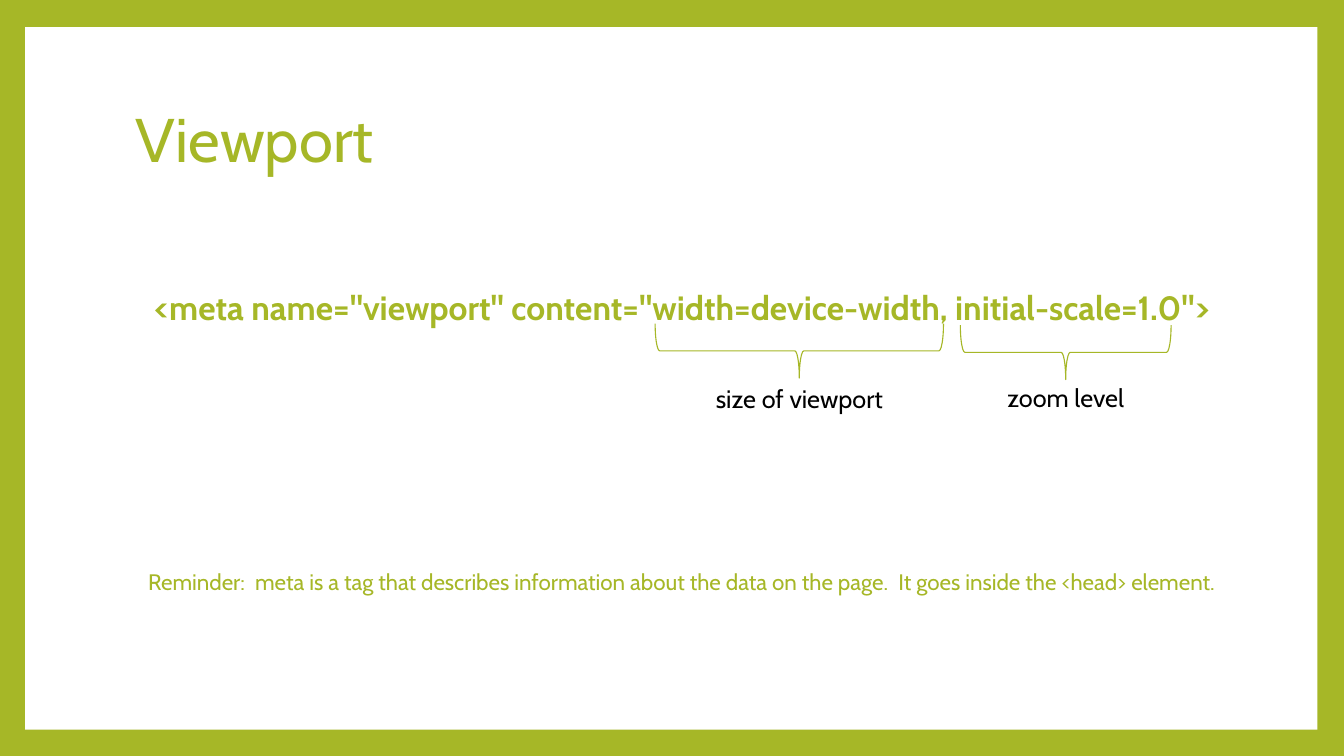
from dataclasses import dataclass

from pptx import Presentation
from pptx.dml.color import RGBColor
from pptx.enum.shapes import MSO_SHAPE as Kind
from pptx.enum.text import MSO_ANCHOR as Anchor, PP_ALIGN as Align
from pptx.shapes.autoshape import Shape
from pptx.util import Inches, Pt

GREEN = RGBColor(0xA6, 0xB7, 0x27)
WHITE = RGBColor(0xFF, 0xFF, 0xFF)
BLACK = RGBColor(0x00, 0x00, 0x00)
FONT = "Cabin"
COLS, ROWS = 160, 90
DEPTH = 6.48


@dataclass(frozen=True)
class Box:
    col: float
    row: float
    wide: float
    high: float


@dataclass(frozen=True)
class Label:
    text: str
    box: Box
    size: int
    color: RGBColor = GREEN
    bold: bool = False
    align: Align = Align.CENTER
    lead: float = 0.9


@dataclass(frozen=True)
class Brace:
    mid: float
    row: float
    span: float
    note: str
    top: float


TEXTS = [
    Label("Viewport", Box(15, 8.04, 129.6, 17.76), 44, align=Align.LEFT),
    Label('<meta name="viewport" content="width=device-width, initial-scale=1.0">',
          Box(14.82, 33.84, 132.72, 6), 24, bold=True),
    Label("Reminder:  meta is a tag that describes information about the data "
          "on the page.  It goes inside the <head> element.",
          Box(14.82, 66.48, 132.72, 6), 16),
]
BRACES = [
    Brace(95.16, 41.76, 34.32, "size of viewport", 45),
    Brace(126.87, 41.94, 25.08, "zoom level", 44.88),
]

deck = Presentation()
deck.slide_width = Inches(13.33)
deck.slide_height = Inches(7.5)
slide = deck.slides.add_slide(deck.slide_layouts[6])
slide.background.fill.solid()
slide.background.fill.fore_color.rgb = GREEN


def place(box: Box) -> tuple[int, int, int, int]:
    col, row = deck.slide_width / COLS, deck.slide_height / ROWS
    return (round(box.col * col), round(box.row * row),
            round(box.wide * col), round(box.high * row))


def add_form(kind: Kind, box: Box) -> Shape:
    form = slide.shapes.add_shape(kind, *place(box))
    form.shadow.inherit = False
    return form


def add_label(label: Label) -> None:
    frame = slide.shapes.add_textbox(*place(label.box)).text_frame
    frame.word_wrap = True
    frame.vertical_anchor = Anchor.MIDDLE
    para = frame.paragraphs[0]
    para.alignment = label.align
    para.line_spacing = label.lead
    run = para.add_run()
    run.text = label.text
    run.font.name = FONT
    run.font.size = Pt(label.size)
    run.font.bold = label.bold
    run.font.color.rgb = label.color


def add_brace(brace: Brace) -> None:
    form = add_form(Kind.LEFT_BRACE, Box(brace.mid - DEPTH / 2, brace.row - brace.span / 2,
                                         DEPTH, brace.span))
    form.rotation = 270
    form.fill.background()
    form.line.color.rgb = GREEN
    form.line.width = Pt(0.79)
    add_label(Label(brace.note, Box(brace.mid - brace.span / 2, brace.top, brace.span, 4.8),
                    18, BLACK, lead=1.0))


panel = add_form(Kind.RECTANGLE, Box(3, 3.24, 153.84, 86.88 - DEPTH / 2))
panel.fill.solid()
panel.fill.fore_color.rgb = WHITE
panel.line.fill.background()
for label in TEXTS:
    add_label(label)
for brace in BRACES:
    add_brace(brace)

deck.save("out.pptx")
